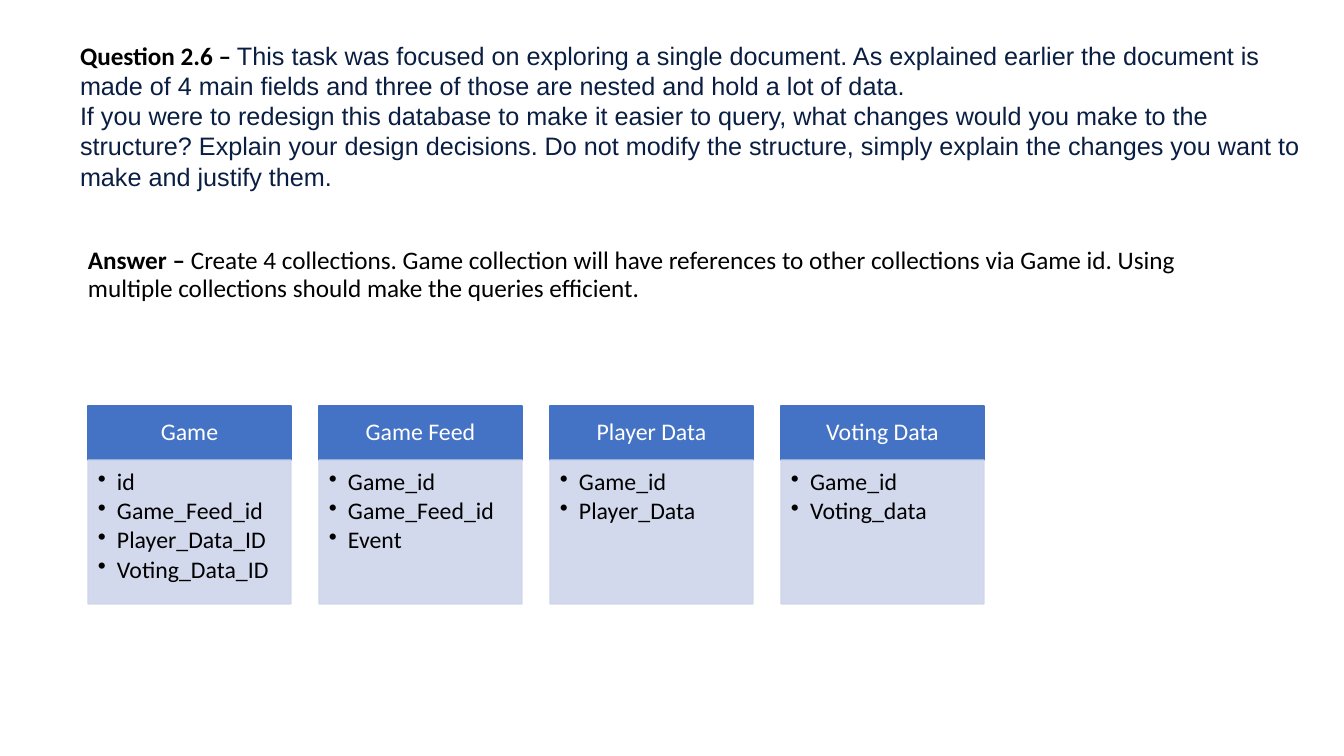
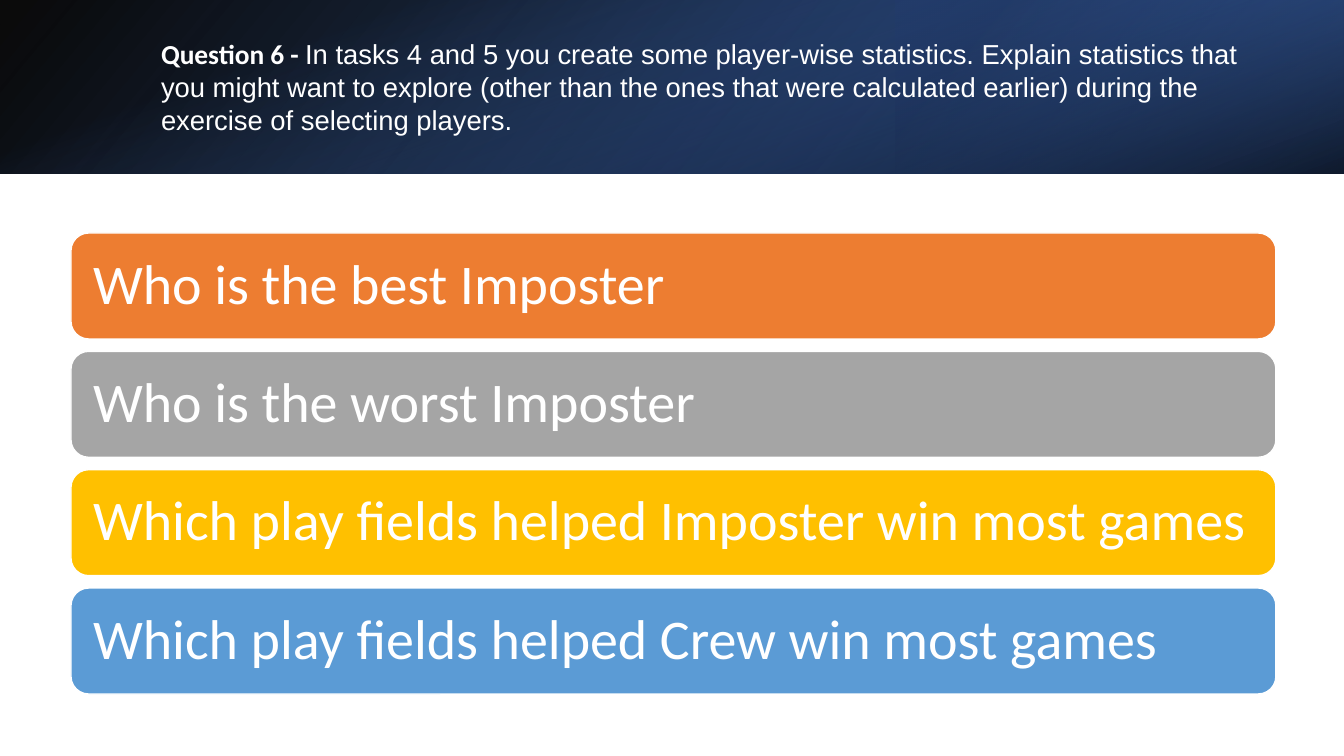
from lxml import etree
from pptx import Presentation
from pptx.dml.color import RGBColor
from pptx.enum.shapes import MSO_SHAPE
from pptx.enum.text import MSO_ANCHOR, MSO_AUTO_SIZE, PP_ALIGN
from pptx.oxml.ns import qn
from pptx.util import Pt

RECT, ROUNDED = MSO_SHAPE.RECTANGLE, MSO_SHAPE.ROUNDED_RECTANGLE
TOP, MIDDLE = MSO_ANCHOR.TOP, MSO_ANCHOR.MIDDLE
LEFT, CENTER = PP_ALIGN.LEFT, PP_ALIGN.CENTER
FIXED_SIZE = MSO_AUTO_SIZE.NONE

PX_PER_INCH = 100.8
SLIDE_W, SLIDE_H = 1344, 756
TITLE_AND_BODY, TITLE_ONLY = 1, 5

BLACK, WHITE = "000000", "FFFFFF"
NAVY, BLUE, PALE_BLUE = "091E42", "4472C4", "CFD5EA"
BODY_FONT, QUESTION_FONT = "Calibri", "Arial"

COLLECTIONS = {
    "Game": ["id", "Game_Feed_id", "Player_Data_ID", "Voting_Data_ID"],
    "Game Feed": ["Game_id", "Game_Feed_id", "Event"],
    "Player Data": ["Game_id", "Player_Data"],
    "Voting Data": ["Game_id", "Voting_data"],
}
STATISTICS = [
    ("Who is the best Imposter", "ED7D31"),
    ("Who is the worst Imposter", "A5A5A5"),
    ("Which play fields helped Imposter win most games", "FFC000"),
    ("Which play fields helped Crew win most games", "5B9BD5"),
]


def px(length):
    return round(length * 914400 / PX_PER_INCH)


def rgb(value):
    return RGBColor.from_string(value)


def style_run(run, size, color, font=BODY_FONT, bold=False):
    run.font.name, run.font.size, run.font.bold = font, Pt(size), bold
    run.font.color.rgb = rgb(color)


def place(shape, box):
    shape.left, shape.top, shape.width, shape.height = map(px, box)


def set_frame(frame, anchor, insets=(10, 5, 10, 5)):
    frame.word_wrap = True
    frame.auto_size = FIXED_SIZE
    frame.vertical_anchor = anchor
    (frame.margin_left, frame.margin_top,
     frame.margin_right, frame.margin_bottom) = map(px, insets)


def set_opacity(shape, percents):
    """Give the fill and line colours of the shape, in order, their opacity."""
    colors = shape._element.spPr.iter(qn("a:srgbClr"))
    for color, percent in zip(list(colors), percents):
        etree.SubElement(color, qn("a:alpha")).set("val", str(percent * 1000))


def add_panel(slide, kind, box, fill, line=None):
    panel = slide.shapes.add_shape(kind, *map(px, box))
    panel.shadow.inherit = False
    panel.fill.solid()
    panel.fill.fore_color.rgb = rgb(fill)
    panel.line.color.rgb = rgb(line or fill)
    panel.line.width = Pt(1)
    return panel


def add_gradient(slide, box, angle, stops):
    """Stops are (position, colour, opacity); the angle runs clockwise."""
    band = slide.shapes.add_shape(RECT, *map(px, box))
    band.shadow.inherit = False
    band.line.fill.background()
    band.fill.gradient()
    band.fill.gradient_angle = 360 - angle
    for stop, (position, color, _) in zip(band.fill.gradient_stops, stops):
        stop.position = position / 100
        stop.color.rgb = rgb(color)
    set_opacity(band, [opacity for _, _, opacity in stops])


def set_bullet(paragraph, indent=0, char=None):
    properties = paragraph._p.get_or_add_pPr()
    properties.set("marL", str(px(indent)))
    properties.set("indent", str(-px(indent)))
    if char:
        etree.SubElement(properties, qn("a:buChar")).set("char", char)
    else:
        etree.SubElement(properties, qn("a:buNone"))


def write_lead(paragraph, lead, text, size, color, font):
    """Write a bold lead-in followed by plain text."""
    paragraph.text = lead
    paragraph.alignment = LEFT
    style_run(paragraph.runs[0], size, color if color == WHITE else BLACK, bold=True)
    plain = paragraph.add_run()
    plain.text = text
    style_run(plain, size, color, font)


def write_question(slide, box, lead, texts, size, color, anchor):
    title = slide.shapes.title
    place(title, box)
    frame = title.text_frame
    set_frame(frame, anchor)
    write_lead(frame.paragraphs[0], lead, texts[0], size, color, QUESTION_FONT)
    for text in texts[1:]:
        paragraph = frame.add_paragraph()
        paragraph.text = text
        paragraph.alignment = LEFT
        style_run(paragraph.runs[0], size, color, QUESTION_FONT)


def write_answer(slide, box, lead, text):
    answer = slide.placeholders[1]
    place(answer, box)
    set_frame(answer.text_frame, TOP)
    paragraph = answer.text_frame.paragraphs[0]
    write_lead(paragraph, lead, text, 18, BLACK, BODY_FONT)
    paragraph.line_spacing = 0.9
    paragraph.space_before = Pt(10)
    set_bullet(paragraph)


def write_label(panel, text, size, alignment, insets):
    set_frame(panel.text_frame, MIDDLE, insets)
    panel.text_frame.text = text
    paragraph = panel.text_frame.paragraphs[0]
    paragraph.alignment = alignment
    paragraph.line_spacing = 0.9
    style_run(paragraph.runs[0], size, WHITE)


def add_collection(slide, box, name, fields):
    left, top, width, height = box
    header_height = 54
    header = add_panel(slide, RECT, (left, top, width, header_height), BLUE)
    write_label(header, name, 17, CENTER, (13, 8, 13, 8))

    field_list = add_panel(
        slide, RECT,
        (left, top + header_height, width, height - header_height), PALE_BLUE)
    set_opacity(field_list, (90, 90))
    frame = field_list.text_frame
    set_frame(frame, TOP, (10, 10, 13, 15))
    frame.text = "\n".join(fields)
    for paragraph in frame.paragraphs:
        paragraph.alignment = LEFT
        paragraph.line_spacing = 0.9
        paragraph.space_after = Pt(2.5)
        set_bullet(paragraph, 19, "•")
        style_run(paragraph.runs[0], 17, BLACK)


def add_collections(slide, box):
    left, top, width, height = box
    column_width = 203
    pitch = (width - column_width) / (len(COLLECTIONS) - 1)
    for column, (name, fields) in enumerate(COLLECTIONS.items()):
        add_collection(
            slide, (left + column * pitch, top, column_width, height), name, fields)


def add_banner(slide, box):
    left, top, width, height = box
    third = width // 3
    add_gradient(slide, box, 40, [(0, BLACK, 96), (100, "2F5597", 100)])
    add_gradient(slide, (left + width - third, top, third, height), 40,
                 [(19, "203864", 68), (100, BLUE, 79)])
    add_gradient(slide, box, 70, [(23, BLUE, 0), (99, BLACK, 74)])
    slide.shapes._spTree.append(slide.shapes.title._element)


def add_statistics(slide, box):
    left, top, width, height = box
    bar_height = 106
    pitch = (height - bar_height) / (len(STATISTICS) - 1)
    for row, (statistic, color) in enumerate(STATISTICS):
        bar = add_panel(slide, ROUNDED,
                        (left, top + row * pitch, width, bar_height), color, WHITE)
        write_label(bar, statistic, 40, LEFT, (17, 17, 17, 17))


def build_redesign_slide(prs):
    slide = prs.slides.add_slide(prs.slide_layouts[TITLE_AND_BODY])
    write_question(
        slide, (70, 35, 1246, 163), "Question 2.6 – ",
        ["This task was focused on exploring a single document. As explained earlier "
         "the document is made of 4 main fields and three of those are nested and "
         "hold a lot of data.",
         "If you were to redesign this database to make it easier to query, what "
         "changes would you make to the structure? Explain your design decisions. "
         "Do not modify the structure, simply explain the changes you want to make "
         "and justify them."],
        18, NAVY, TOP)
    write_answer(
        slide, (78, 243, 1112, 82), "Answer –",
        " Create 4 collections. Game collection will have references to other "
        "collections via Game id. Using multiple collections should make the "
        "queries efficient.")
    add_collections(slide, (88, 406, 896, 198))


def build_statistics_slide(prs):
    slide = prs.slides.add_slide(prs.slide_layouts[TITLE_ONLY])
    add_banner(slide, (0, 0, SLIDE_W, 174))
    write_question(
        slide, (151, 38, 1107, 97), "Question 6 - ",
        ["In tasks 4 and 5 you create some player-wise statistics. Explain "
         "statistics that you might want to explore (other than the ones that were "
         "calculated earlier) during the exercise of selecting players."],
        19.6, WHITE, MIDDLE)
    add_statistics(slide, (71, 233, 1205, 461))


def main():
    prs = Presentation()
    prs.slide_width, prs.slide_height = px(SLIDE_W), px(SLIDE_H)
    build_redesign_slide(prs)
    build_statistics_slide(prs)
    prs.save("out.pptx")


if __name__ == "__main__":
    main()
